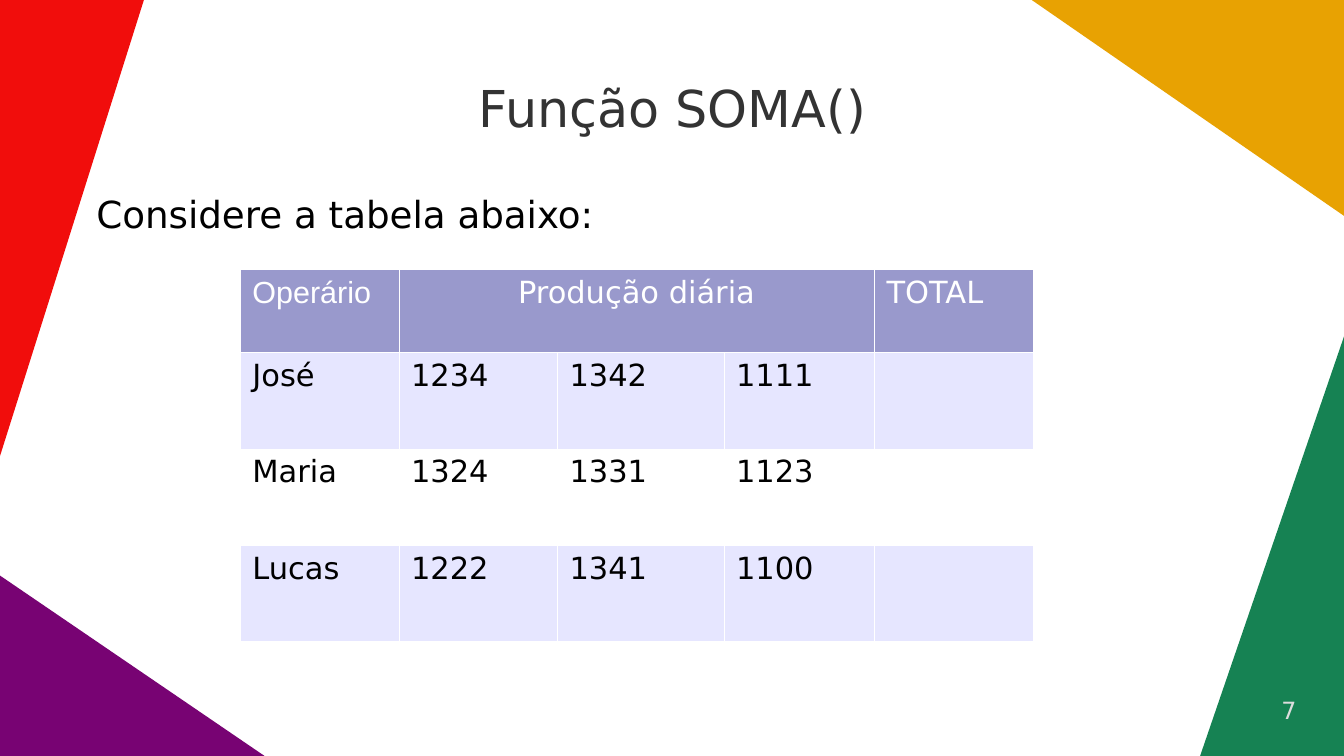
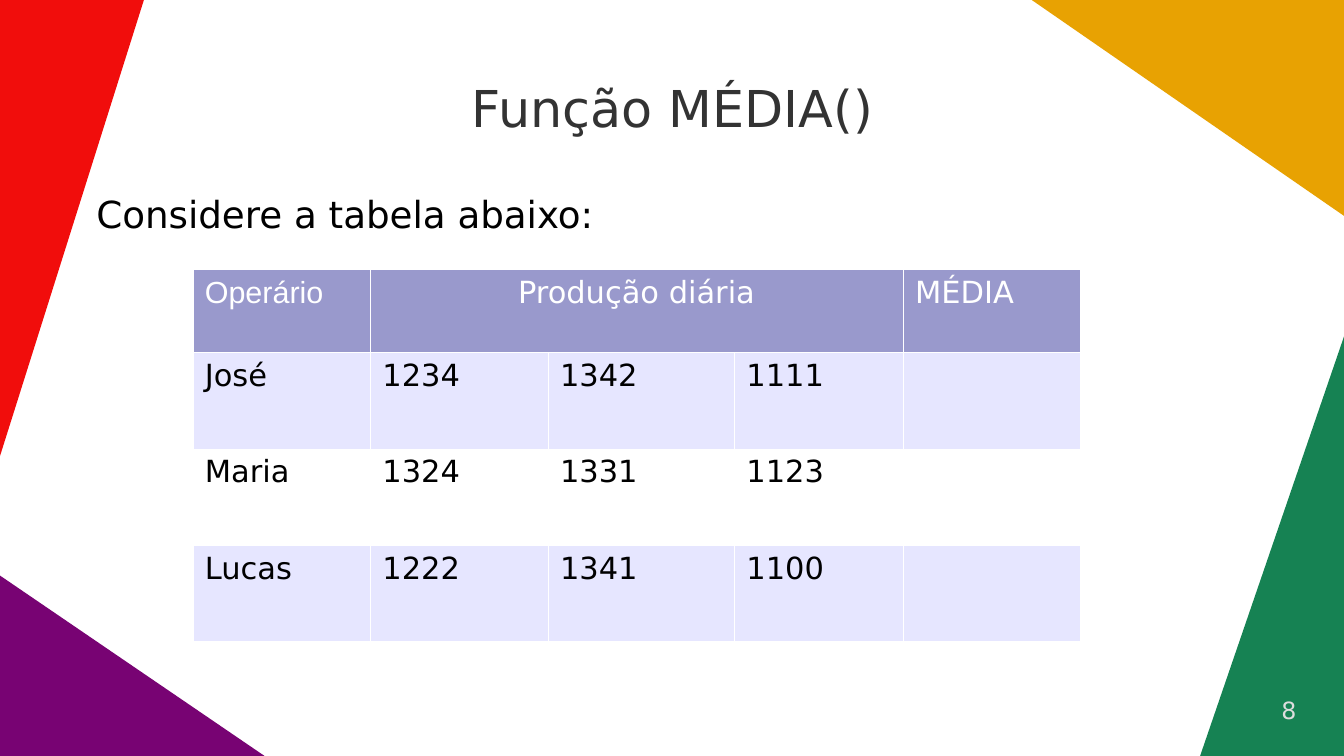
from dataclasses import dataclass
from lxml.etree import SubElement
from pptx import Presentation
from pptx.dml.color import RGBColor
from pptx.enum.text import MSO_ANCHOR, PP_ALIGN
from pptx.oxml import parse_xml
from pptx.oxml.ns import nsdecls, qn
from pptx.util import Inches, Pt


@dataclass(frozen=True)
class Theme:
    """Colours, fonts and type sizes shared by the slides."""
    red: str = "F10D0C"
    gold: str = "E8A202"
    green: str = "168253"
    plum: str = "780373"
    title: str = "333333"
    text: str = "000000"
    white: str = "FFFFFF"
    head: str = "9999CC"
    band: str = "E6E6FF"
    page: str = "DDDDDD"
    sans: str = "DejaVu Sans"
    arial: str = "Arial"
    big: int = 30
    lead: int = 22
    cell: int = 18
    small: int = 14


LOOK = Theme()
WIDE, HIGH = 11.02, 6.2
MID = 5.22
SHARES = (0.2, 0.2, 0.21, 0.19, 0.2)
ROWS = (0.68, 0.79, 0.79, 0.79, 0.49)
DATA = (
    ("José", "1234", "1342", "1111", ""),
    ("Maria", "1324", "1331", "1123", ""),
    ("Lucas", "1222", "1341", "1100", ""),
    ("",) * 5,
)
CORNERS = (
    (LOOK.plum, ((0, 4.72), (0, HIGH), (2.17, HIGH))),
    (LOOK.red, ((0, 0), (0, 3.74), (1.18, 0))),
    (LOOK.gold, ((WIDE, 0), (8.46, 0), (WIDE, 1.77))),
    (LOOK.green, ((WIDE, HIGH), (WIDE, 2.76), (9.84, HIGH))),
)
SLIDES = (
    ("Função SOMA()", "TOTAL", 6.5, 7),
    ("Função MÉDIA()", "MÉDIA", 7.28, 8),
)


def paint(fill, tint):
    """Give a fill one solid colour."""
    fill.solid()
    fill.fore_color.rgb = RGBColor.from_string(tint)


def write(frame, text, size, tint, face=LOOK.sans, align=PP_ALIGN.LEFT):
    """Write one styled run in the first paragraph of a frame."""
    para = frame.paragraphs[0]
    para.alignment = align
    run = para.add_run()
    run.text = text
    font = run.font
    font.name, font.size, font.bold = face, Pt(size), False
    font.color.rgb = RGBColor.from_string(tint)
    return para


def place(shape, box):
    """Move a text shape to a box and clear its margins."""
    shape.left, shape.top, shape.width, shape.height = map(Inches, box)
    frame = shape.text_frame
    frame.word_wrap = True
    frame.margin_left = frame.margin_right = 0
    frame.margin_top = frame.margin_bottom = 0
    return frame


def add_text(slide, box):
    """Add a text box and return its frame."""
    return place(slide.shapes.add_textbox(0, 0, 0, 0), box)


def add_corners(slide):
    """Draw the corner triangles and move them to the layout of the slide."""
    tree = slide.slide_layout.shapes.element
    for num, (tint, points) in enumerate(CORNERS):
        spots = [(Inches(x), Inches(y)) for x, y in points]
        form = slide.shapes.build_freeform(*spots[0], scale=1.0)
        form.add_line_segments(spots[1:], close=True)
        shape = form.convert_to_shape()
        shape.shadow.inherit = False
        paint(shape.fill, tint)
        shape.line.fill.background()
        shape.name = f"Corner {num + 1}"
        shape.element.nvSpPr.cNvPr.set("id", str(20 + num))
        tree.insert(2 + num, shape.element)


def add_edges(cell):
    """Put a white hairline on each side of a cell."""
    props = cell._tc.get_or_add_tcPr()
    for num, side in enumerate("LRTB"):
        line = parse_xml(f'<a:ln{side} {nsdecls("a")} w="762"/>')
        fill = SubElement(line, qn("a:solidFill"))
        SubElement(fill, qn("a:srgbClr")).set("val", LOOK.white)
        props.insert(num, line)


def add_grid(slide, box, last):
    """Add the production table, with the given last heading."""
    head = ("Operário", "Produção diária", "", "", last)
    rows = (head,) + DATA
    table = slide.shapes.add_table(
        len(rows), len(head), *map(Inches, box)).table
    table.horz_banding = False
    for col, share in zip(table.columns, SHARES):
        col.width = Inches(box[2] * share)
    for row, high in zip(table.rows, ROWS):
        row.height = Inches(high)
    for r, words in enumerate(rows):
        back = LOOK.head if r == 0 else LOOK.band if r % 2 else LOOK.white
        ink = LOOK.text if r else LOOK.white
        for c, word in enumerate(words):
            cell = table.cell(r, c)
            paint(cell.fill, back)
            add_edges(cell)
            if word:
                face = LOOK.sans if r or c else LOOK.arial
                align = PP_ALIGN.LEFT if r or c != 1 else PP_ALIGN.CENTER
                write(cell.text_frame, word, LOOK.cell, ink, face, align)
    table.cell(0, 1).merge(table.cell(0, 3))


def add_page(deck, title, last, width, page):
    """Add one slide with title, lead line, table and page number."""
    slide = deck.slides.add_slide(deck.slide_layouts[5])
    frame = place(slide.shapes.title, (0.79, 0.39, 9.45, 0.98))
    frame.vertical_anchor = MSO_ANCHOR.MIDDLE
    write(frame, title, LOOK.big, LOOK.title, align=PP_ALIGN.CENTER)
    frame = add_text(slide, (0.79, 1.57, 9.45, 3.94))
    para = write(frame, "Considere a tabela abaixo:", LOOK.lead, LOOK.text)
    para.space_after = Pt(10.6)
    add_grid(slide, (MID - width / 2, 2.21, width, sum(ROWS)), last)
    frame = add_text(slide, (8.07, 5.71, 2.56, 0.39))
    write(frame, str(page), LOOK.small, LOOK.page, align=PP_ALIGN.RIGHT)
    return slide


def main():
    """Build and save the deck."""
    deck = Presentation()
    deck.slide_width, deck.slide_height = Inches(WIDE), Inches(HIGH)
    pages = [add_page(deck, *item) for item in SLIDES]
    add_corners(pages[0])
    deck.save("out.pptx")


if __name__ == "__main__":
    main()
